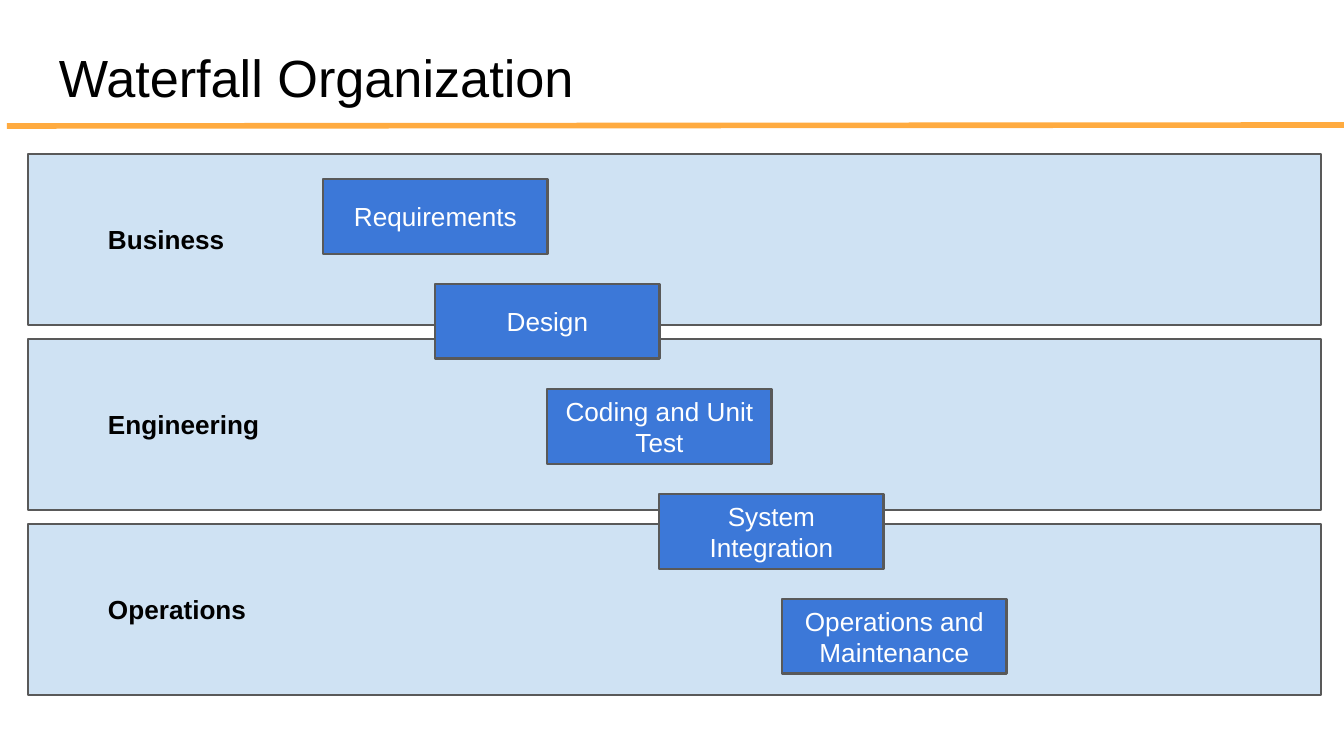
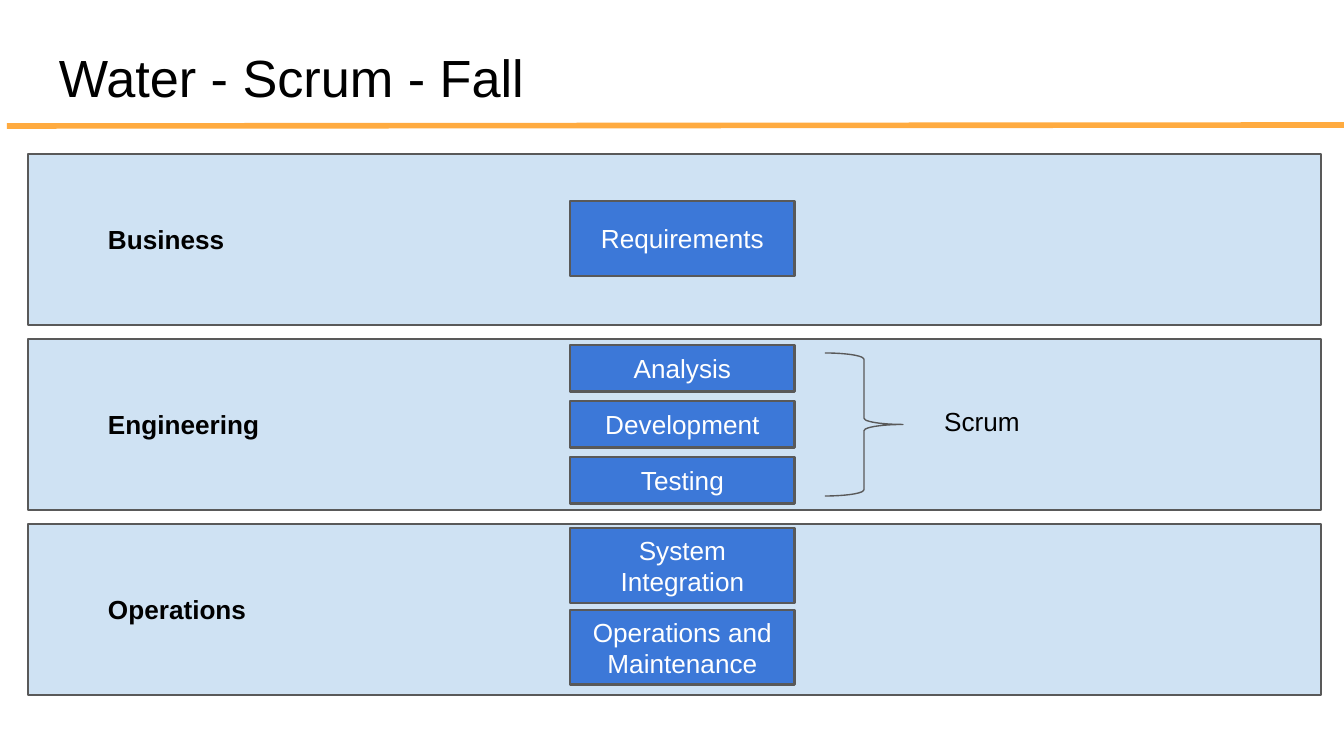
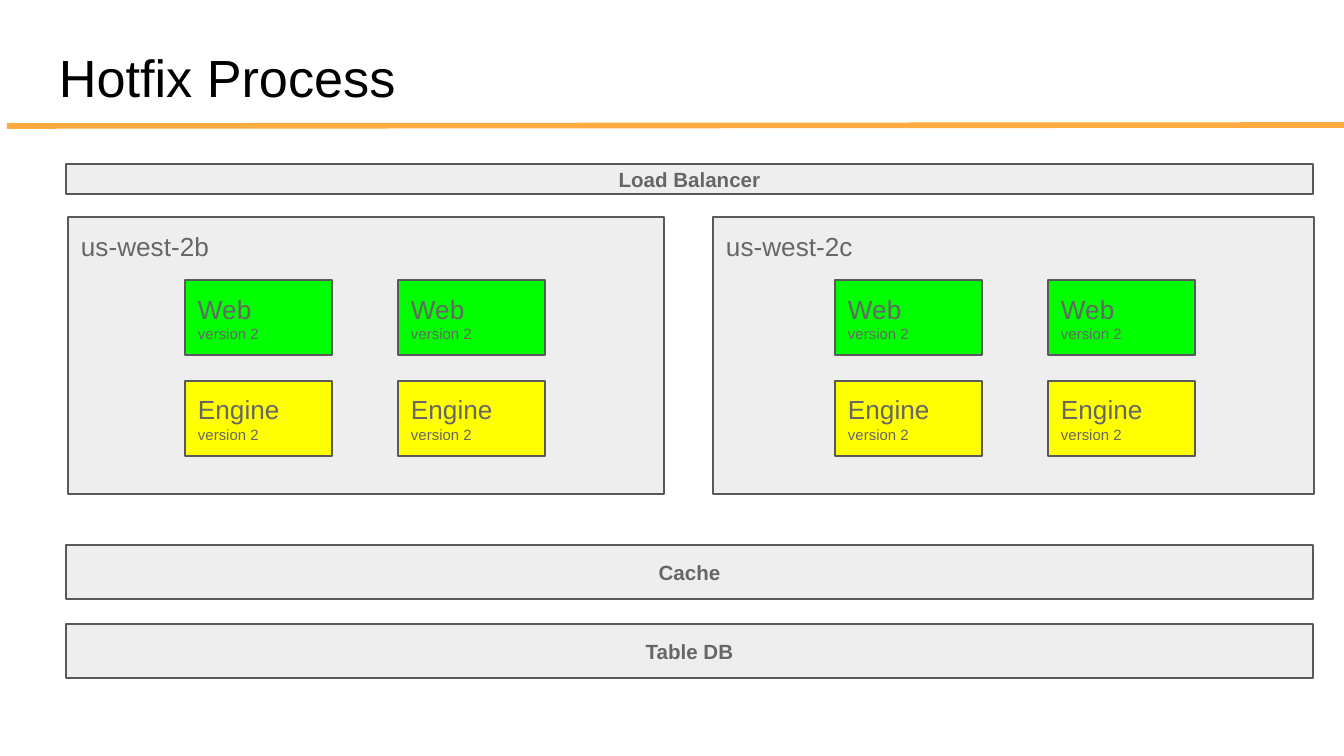
from pptx import Presentation
from pptx.dml.color import RGBColor as Rgb
from pptx.enum.shapes import MSO_CONNECTOR as Link, MSO_SHAPE as Kind
from pptx.enum.text import MSO_ANCHOR as Anchor, PP_ALIGN as Align
from pptx.oxml.ns import qn
from pptx.util import Pt
from lxml.etree import SubElement

SCALE = 914400 / 134.4
BLACK, WHITE, GREY = "000000", "FFFFFF", "666666"
EDGE, BAND, STEP = "595959", "CFE2F3", "3C78D8"
ORANGE, PANEL, GREEN, YELLOW = "FFAB40", "EEEEEE", "00FF00", "FFFF00"
MARGINS = ("margin_left", "margin_top", "margin_right", "margin_bottom")


def emu(px):
    return round(px * SCALE)


def color(text):
    return Rgb.from_string(text)


class Deck:
    font = "Arial"
    inset = 13

    def __init__(self):
        self.show = Presentation()
        self.show.slide_width, self.show.slide_height = emu(1344), emu(756)

    def slide(self, title):
        layout = self.show.slide_layouts[6]
        self.shapes = self.show.slides.add_slide(layout).shapes
        self.text(title, 46, 32, 1253, 85, size=28)
        self.rule(7, 126, 1344, 125)

    def rule(self, *ends):
        line = self.shapes.add_connector(Link.STRAIGHT, *map(emu, ends))
        line.line.color.rgb = color(ORANGE)
        line.line.width = Pt(3)
        SubElement(line._element.spPr, qn("a:effectLst"))

    def label(self, shape, lines, align=Align.LEFT, anchor=Anchor.TOP,
              indent=0, ink=BLACK, bold=False):
        frame = shape.text_frame
        frame.word_wrap = True
        frame.vertical_anchor = anchor
        for side in MARGINS:
            setattr(frame, side, emu(self.inset))
        for i, (words, size) in enumerate(lines):
            par = frame.add_paragraph() if i else frame.paragraphs[0]
            par.alignment = align
            if indent:
                par._p.get_or_add_pPr().set("indent", str(emu(indent)))
            run = par.add_run()
            run.text = words
            style = {"name": self.font, "size": Pt(size), "bold": bold}
            for key, value in style.items():
                setattr(run.font, key, value)
            run.font.color.rgb = color(ink)

    def text(self, words, *area, size=14, **style):
        box = self.shapes.add_textbox(*map(emu, area))
        self.label(box, [(words, size)], **style)

    def shape(self, kind, area, fill, width=0.75):
        item = self.shapes.add_shape(kind, *map(emu, area))
        item.shadow.inherit = False
        item.fill.solid()
        item.fill.fore_color.rgb = color(fill)
        item.line.color.rgb = color(EDGE)
        item.line.width = Pt(width)
        return item

    def band(self, words, top):
        box = self.shape(Kind.RECTANGLE, (28, top, 1293, 171), BAND)
        self.label(box, [(words, 14)], anchor=Anchor.MIDDLE, indent=67,
                   bold=True)

    def lanes(self):
        for i, name in enumerate(("Business", "Engineering", "Operations")):
            self.band(name, 154 + 185 * i)

    def step(self, words, left, top, height=75):
        box = self.shape(Kind.RECTANGLE, (left, top, 225, height), STEP, 1.5)
        self.label(box, [(words, 14)], Align.CENTER, Anchor.MIDDLE, ink=WHITE)

    def brace(self, *area):
        item = self.shape(Kind.RIGHT_BRACE, area, BAND)
        item.adjustments[0] = 0.08

    def bar(self, words, top, height):
        box = self.shape(Kind.RECTANGLE, (66, top, 1247, height), PANEL)
        self.label(box, [(words, 11)], Align.CENTER, Anchor.MIDDLE,
                   ink=GREY, bold=True)

    def zone(self, words, left, width):
        box = self.shape(Kind.RECTANGLE, (left, 217, width, 277), PANEL)
        self.label(box, [(words, 14)], ink=GREY)

    def node(self, words, left, top, fill):
        box = self.shape(Kind.RECTANGLE, (left, top, 147, 75), fill)
        self.label(box, [(words, 14), ("version 2", 8)],
                   anchor=Anchor.MIDDLE, ink=GREY)


def cascade(deck):
    deck.slide("Waterfall Organization")
    deck.lanes()
    steps = (("Requirements", 323), ("Design", 435),
             ("Coding and Unit Test", 547), ("System Integration", 659),
             ("Operations and Maintenance", 782))
    for i, (name, left) in enumerate(steps):
        deck.step(name, left, 179 + 105 * i)


def hybrid(deck):
    deck.slide("Water - Scrum - Fall")
    deck.lanes()
    left = 570
    deck.step("Requirements", left, 201)
    for i, name in enumerate(("Analysis", "Development", "Testing")):
        deck.step(name, left, 345 + 56 * i, 47)
    deck.step("System Integration", left, 528)
    deck.step("Operations and Maintenance", left, 610)
    deck.brace(825, 353, 78, 143)
    deck.text("Scrum", 879, 392, 206, 44, align=Align.CENTER)


def hotfix(deck):
    deck.slide("Hotfix Process")
    for name, top, height in (("Load Balancer", 164, 30),
                              ("Cache", 545, 54), ("Table DB", 624, 54)):
        deck.bar(name, top, height)
    for name, left, width, first in (("us-west-2b", 68, 596, 185),
                                     ("us-west-2c", 713, 601, 835)):
        deck.zone(name, left, width)
        for role, top, fill in (("Web", 280, GREEN), ("Engine", 381, YELLOW)):
            for i in range(2):
                deck.node(role, first + 213 * i, top, fill)


def main():
    deck = Deck()
    for build in (cascade, hybrid, hotfix):
        build(deck)
    deck.show.save("out.pptx")


if __name__ == "__main__":
    main()
